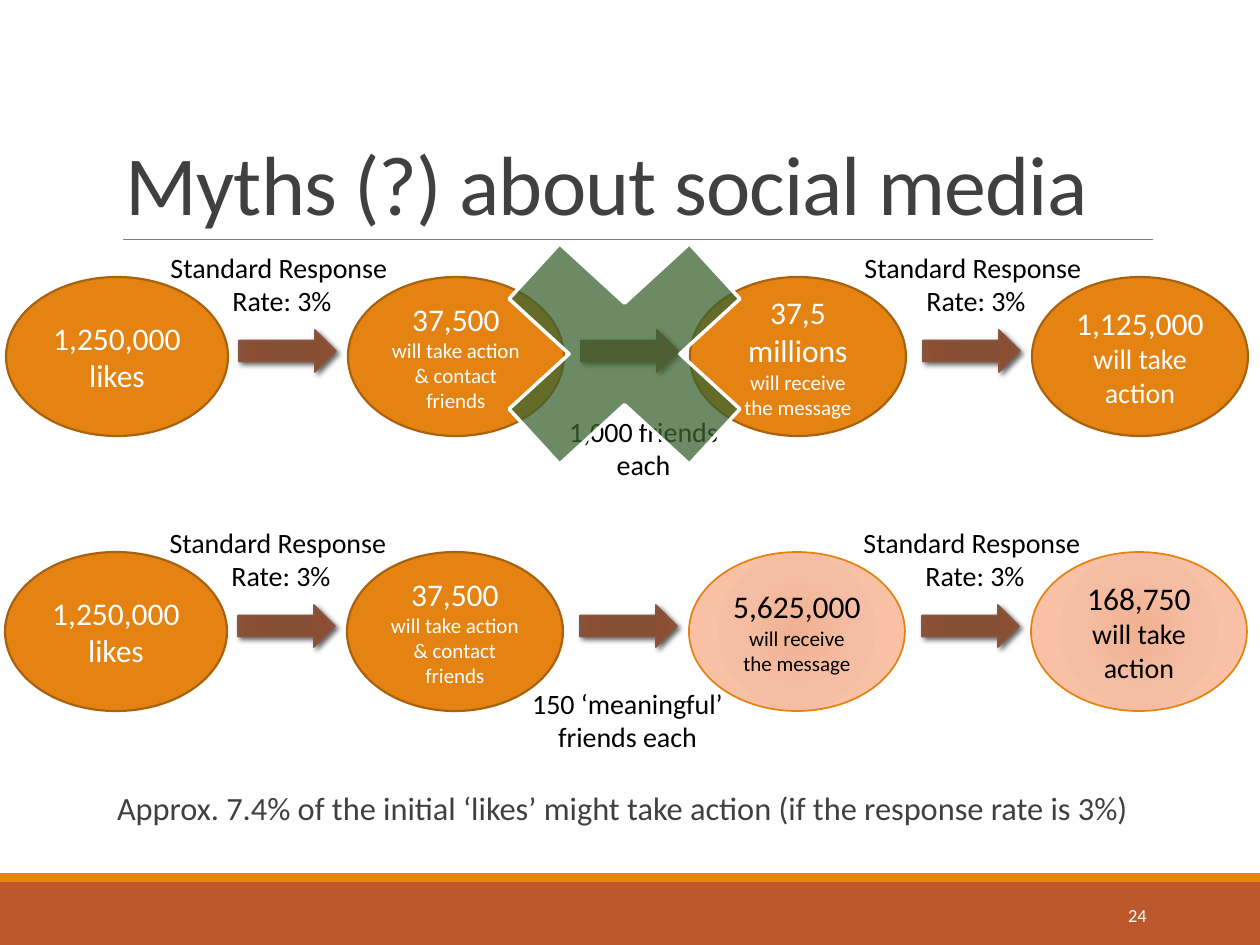
from dataclasses import dataclass
from typing import NamedTuple

from lxml import etree
from pptx import Presentation
from pptx.dml.color import RGBColor
from pptx.enum.shapes import MSO_CONNECTOR as Conn, MSO_SHAPE as Shp
from pptx.enum.text import MSO_ANCHOR as Anchor, PP_ALIGN as Align
from pptx.oxml import parse_xml
from pptx.oxml.ns import nsdecls, qn
from pptx.util import Emu, Pt

EMU_PER_PX = 914400 / 126


@dataclass(frozen=True)
class Theme:
    font: str = "Calibri"
    orange: str = "E48312"
    rust: str = "BD582C"
    orange_edge: str = "A9610D"
    arrow_edge: str = "865640"
    cross: str = "3B6431"
    rule: str = "808080"
    ink: str = "404040"
    black: str = "000000"
    white: str = "FFFFFF"
    arrow_stops: tuple = ((0, "874C32"), (34, "864E34"), (70, "8A4E33"), (100, "8A553D"))
    peach_stops: tuple = ((0, "F0B191"), (45, "F5BEA4"), (100, "FDC3A8"))
    title: float = 48
    body: float = 18.5
    figure: float = 18
    label: float = 16
    detail: float = 12
    number: float = 10.5


T = Theme()


class Box(NamedTuple):
    x: int
    y: int
    w: int
    h: int


class Line(NamedTuple):
    text: str
    size: float


class Stage(NamedTuple):
    figure: str
    note: str
    note_size: float
    peach: bool = False


class Flow(NamedTuple):
    x: int
    y: int
    stages: tuple[Stage, ...]
    friends: str
    friends_x: int
    friends_y: int


LIKES = Stage("1,250,000", "likes", T.figure)
CONTACTS = Stage("37,500", "will take action & contact friends", T.detail)
RECEIVE, ACT = "will receive the message", "will take action"
RATE = (Line("Standard Response ", T.label), Line("Rate: 3%", T.label))
FLOWS = (
    Flow(6, 277, (LIKES, CONTACTS, Stage("37,5 millions", RECEIVE, T.detail),
                  Stage("1,125,000", ACT, T.label)), "1,000 friends each", 534, 408),
    Flow(5, 552, (LIKES, CONTACTS, Stage("5,625,000", RECEIVE, T.detail, True),
                  Stage("168,750", ACT, T.label, True)),
         "150 ‘meaningful’ friends each", 518, 680),
)
PITCH = 342


def px(n: float) -> Emu:
    return Emu(round(n * EMU_PER_PX))


def rgb(color: str) -> RGBColor:
    return RGBColor.from_string(color)


def write(tf, lines, color: str, align=Align.CENTER) -> None:
    tf.word_wrap = True
    for i, line in enumerate(lines):
        p = tf.paragraphs[0] if i == 0 else tf.add_paragraph()
        p.text, p.alignment = line.text, align
        p.font.name, p.font.size = T.font, Pt(line.size)
        p.font.color.rgb = rgb(color)


def add_text(s, box: Box, lines, color: str, align=Align.CENTER, anchor=Anchor.TOP):
    tf = s.shapes.add_textbox(*map(px, box)).text_frame
    tf.vertical_anchor = anchor
    write(tf, lines, color, align)
    return tf


def add_solid(s, kind, box: Box, fill: str, edge: str | None = None, width: float = 1):
    sp = s.shapes.add_shape(kind, *map(px, box))
    sp.shadow.inherit = False
    sp.fill.solid()
    sp.fill.fore_color.rgb = rgb(fill)
    if edge:
        sp.line.color.rgb, sp.line.width = rgb(edge), Pt(width)
    else:
        sp.line.fill.background()
    return sp


def set_gradient(sp, stops) -> None:
    gs = "".join(f'<a:gs pos="{pos * 1000}"><a:srgbClr val="{c}"/></a:gs>' for pos, c in stops)
    old = sp._element.spPr.find(qn("a:solidFill"))
    old.getparent().replace(old, parse_xml(
        f'<a:gradFill {nsdecls("a")} rotWithShape="1"><a:gsLst>{gs}</a:gsLst><a:path path="circle">'
        '<a:fillToRect l="100000" t="100000" r="100000" b="100000"/></a:path></a:gradFill>'))


def add_arrow(s, box: Box) -> None:
    sp = add_solid(s, Shp.RIGHT_ARROW, box, T.arrow_edge, T.arrow_edge)
    set_gradient(sp, T.arrow_stops)
    effects = sp._element.spPr.find(qn("a:effectLst"))
    effects.append(parse_xml(
        f'<a:outerShdw {nsdecls("a")} blurRad="{Pt(3)}" dist="{Pt(2)}" dir="2700000" rotWithShape="0">'
        f'<a:srgbClr val="{T.black}"><a:alpha val="60000"/></a:srgbClr></a:outerShdw>'))


def add_stage(s, box: Box, stage: Stage) -> None:
    edge, width = (T.orange, 1) if stage.peach else (T.orange_edge, 1.25)
    sp = add_solid(s, Shp.OVAL, box, T.orange, edge, width)
    if stage.peach:
        set_gradient(sp, T.peach_stops)
    sp.text_frame.vertical_anchor = Anchor.MIDDLE
    lines = (Line(stage.figure, T.figure), Line(stage.note, stage.note_size))
    write(sp.text_frame, lines, T.black if stage.peach else T.white)


def add_flow(s, flow: Flow) -> None:
    for i, stage in enumerate(flow.stages):
        add_stage(s, Box(flow.x + i * PITCH, flow.y, 222 if i == 0 else 216, 159), stage)
    for dx in (138, 832):
        add_text(s, Box(flow.x + dx, flow.y - 33, 276, 81), RATE, T.black)
    add_text(s, Box(flow.friends_x, flow.friends_y, 219, 81),
             (Line(flow.friends, T.label),), T.black)
    for i in range(len(flow.stages) - 1):
        add_arrow(s, Box(flow.x + 233 + i * PITCH, flow.y + 53, 97, 42))


def add_frame(s) -> None:
    add_solid(s, Shp.RECTANGLE, Box(0, 882, 1260, 63), T.rust)
    add_solid(s, Shp.RECTANGLE, Box(0, 873, 1260, 9), T.orange)
    rule = s.shapes.add_connector(Conn.STRAIGHT, px(123), px(239), px(1153), px(239))
    rule.line.color.rgb, rule.line.width = rgb(T.rule), Pt(0.5)
    etree.SubElement(rule._element.spPr, qn("a:effectLst"))

    tf = add_text(s, Box(113, 39, 1040, 200), (Line("Myths (?) about social media", T.title),),
                  T.ink, Align.LEFT, Anchor.BOTTOM)
    p = tf.paragraphs[0]
    p.line_spacing = 0.85
    p.runs[0].font._element.set("spc", "-50")

    message = "Approx. 7.4% of the initial ‘likes’ might take action (if the response rate is 3%)"
    tf = add_text(s, Box(105, 789, 1040, 77), (Line(message, T.body),), T.ink, Align.LEFT)
    tf.margin_left, tf.margin_right = px(12), 0
    p = tf.paragraphs[0]
    p.line_spacing, p.space_before, p.space_after = 0.8, Pt(12), Pt(2)

    add_text(s, Box(1023, 890, 136, 50), (Line("24", T.number),), T.white,
             Align.RIGHT, Anchor.MIDDLE)


def add_cross(s) -> None:
    sp = add_solid(s, Shp.MATH_MULTIPLY, Box(451, 195, 347, 318), T.cross, T.white, 2)
    color = sp._element.spPr.find(qn("a:solidFill"))[0]
    etree.SubElement(color, qn("a:alpha")).set("val", "75000")


def main() -> None:
    prs = Presentation()
    prs.slide_width, prs.slide_height = px(1260), px(945)
    s = prs.slides.add_slide(prs.slide_layouts[6])
    add_frame(s)
    for flow in FLOWS:
        add_flow(s, flow)
    add_cross(s)
    prs.save("out.pptx")


if __name__ == "__main__":
    main()
